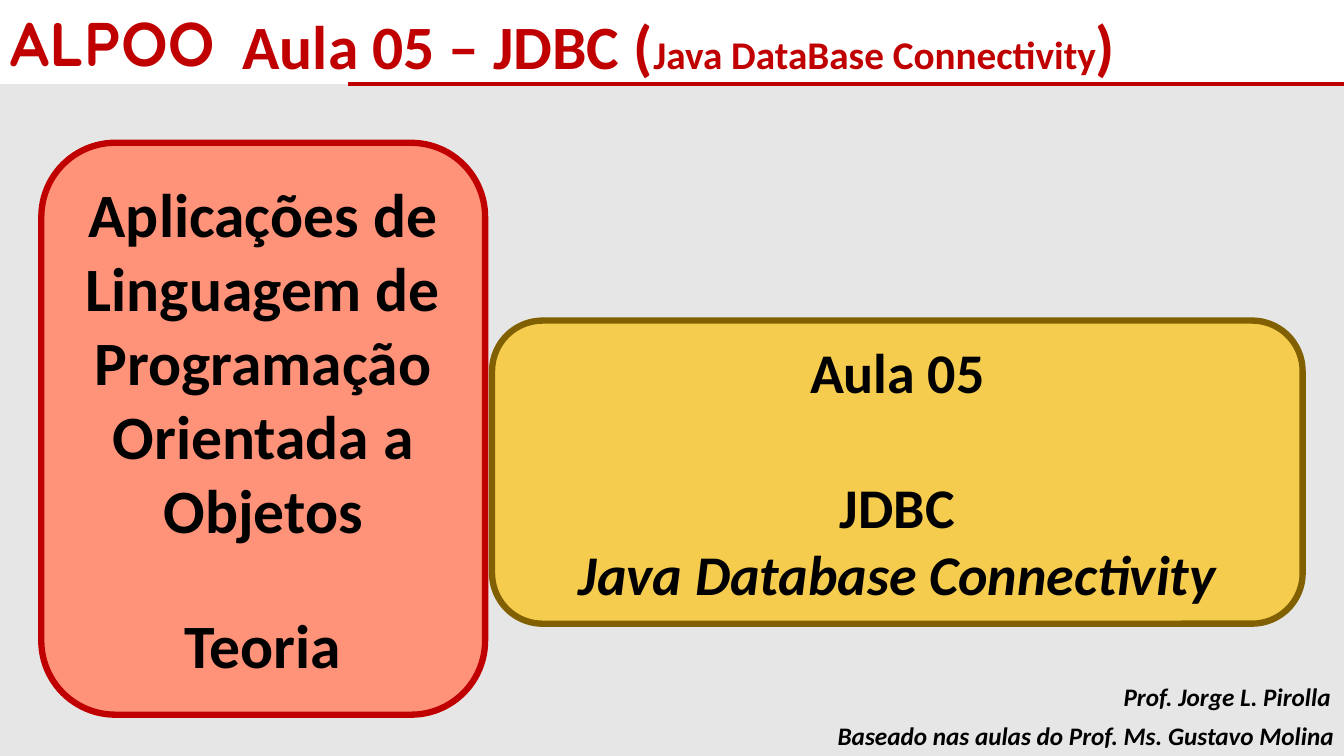
import pptx
import pptx.dml.color
import pptx.enum.shapes
import pptx.enum.text
import pptx.oxml
import pptx.oxml.ns
import pptx.util
import lxml.etree

Pt = pptx.util.Pt
ALIGN = pptx.enum.text.PP_ALIGN
SHAPE = pptx.enum.shapes.MSO_SHAPE
RED = "C00000"
BLACK = "000000"


def color(value):
    return pptx.dml.color.RGBColor.from_string(value)


class LessonSlide:
    """Draws the elements of a lesson cover on one slide."""

    def __init__(self, slide, font="Calibri"):
        self.slide = slide
        self.font = font

    def panel(self, kind, box, fill, line=None, opacity=None):
        shape = self.slide.shapes.add_shape(kind, *map(Pt, box))
        shape.shadow.inherit = False
        shape.fill.solid()
        shape.fill.fore_color.rgb = color(fill)
        if opacity:
            fill_color = shape._element.spPr.find(".//" + pptx.oxml.ns.qn("a:srgbClr"))
            alpha = lxml.etree.SubElement(fill_color, pptx.oxml.ns.qn("a:alpha"))
            alpha.set("val", str(opacity * 1000))
        if line:
            shape.line.color.rgb = color(line)
            shape.line.width = Pt(4.5)
        else:
            shape.line.fill.background()
        return shape

    def rule(self, start, end):
        connector = self.slide.shapes.add_connector(
            pptx.enum.shapes.MSO_CONNECTOR.STRAIGHT, *map(Pt, start + end))
        connector.line.color.rgb = color(RED)
        connector.line.width = Pt(3)
        lxml.etree.SubElement(connector._element.spPr, pptx.oxml.ns.qn("a:effectLst"))

    def fill_paragraph(self, paragraph, runs, size, ink=BLACK, align=ALIGN.LEFT,
                       italic=False, font=None, gap=0):
        paragraph.alignment = align
        paragraph.space_before = Pt(gap)
        paragraph.font.name = font or self.font
        paragraph.font.size = Pt(size)
        paragraph.font.bold = True
        paragraph.font.italic = italic
        paragraph.font.color.rgb = color(ink)
        for text, run_size in runs:
            run = paragraph.add_run()
            run.text = text
            if run_size:
                run.font.size = Pt(run_size)

    def label(self, box, runs, size, wrap=True, **style):
        frame = self.slide.shapes.add_textbox(*map(Pt, box)).text_frame
        frame.word_wrap = wrap
        frame.auto_size = pptx.enum.text.MSO_AUTO_SIZE.SHAPE_TO_FIT_TEXT
        self.fill_paragraph(frame.paragraphs[0], runs, size, **style)

    def card(self, box, fill, line, size, lines, opacity=None):
        shape = self.panel(SHAPE.ROUNDED_RECTANGLE, box, fill, line, opacity)
        frame = shape.text_frame
        frame.word_wrap = True
        frame.vertical_anchor = pptx.enum.text.MSO_ANCHOR.MIDDLE
        for index, (text, gap, italic) in enumerate(lines):
            paragraph = frame.add_paragraph() if index else frame.paragraphs[0]
            self.fill_paragraph(paragraph, [(text, None)], size, align=ALIGN.CENTER,
                                italic=italic, gap=gap)


def main():
    presentation = pptx.Presentation()
    presentation.slide_width = Pt(960)
    presentation.slide_height = Pt(540)
    lesson = LessonSlide(presentation.slides.add_slide(presentation.slide_layouts[6]))

    lesson.panel(SHAPE.RECTANGLE, (0, 60, 960, 480), "E7E6E6")
    lesson.rule((248.5, 60), (960, 60))
    lesson.label((0, 0, 173.5, 60.5), [("ALPOO", None)], 44, wrap=False,
                 ink=RED, font="Quicksand")
    lesson.label((165, 2, 638.5, 60.5),
                 [("Aula 05 – JDBC (", None), ("Java DataBase Connectivity", 28), (")", None)],
                 44, ink=RED, align=ALIGN.RIGHT)

    lesson.card((29.5, 102, 317, 408.5), "FF9379", RED, 44, [
        ("Aplicações de Linguagem de Programação Orientada a Objetos", 0, False),
        ("Teoria", 44, False),
    ])
    lesson.card((351.5, 229, 579, 216.5), "FFC000", "806000", 40, [
        ("Aula 05", 0, False),
        ("JDBC", 48, False),
        ("Java Database Connectivity", 0, True),
    ], opacity=66)

    lesson.label((795.5, 483, 164.5, 29), [("Prof. Jorge L. Pirolla", None)], 18,
                 wrap=False, italic=True)
    lesson.label((587.5, 511, 372.5, 29),
                 [("Baseado nas aulas do Prof. Ms. Gustavo Molina", None)], 18,
                 italic=True, align=ALIGN.RIGHT)
    presentation.save("out.pptx")


if __name__ == "__main__":
    main()
